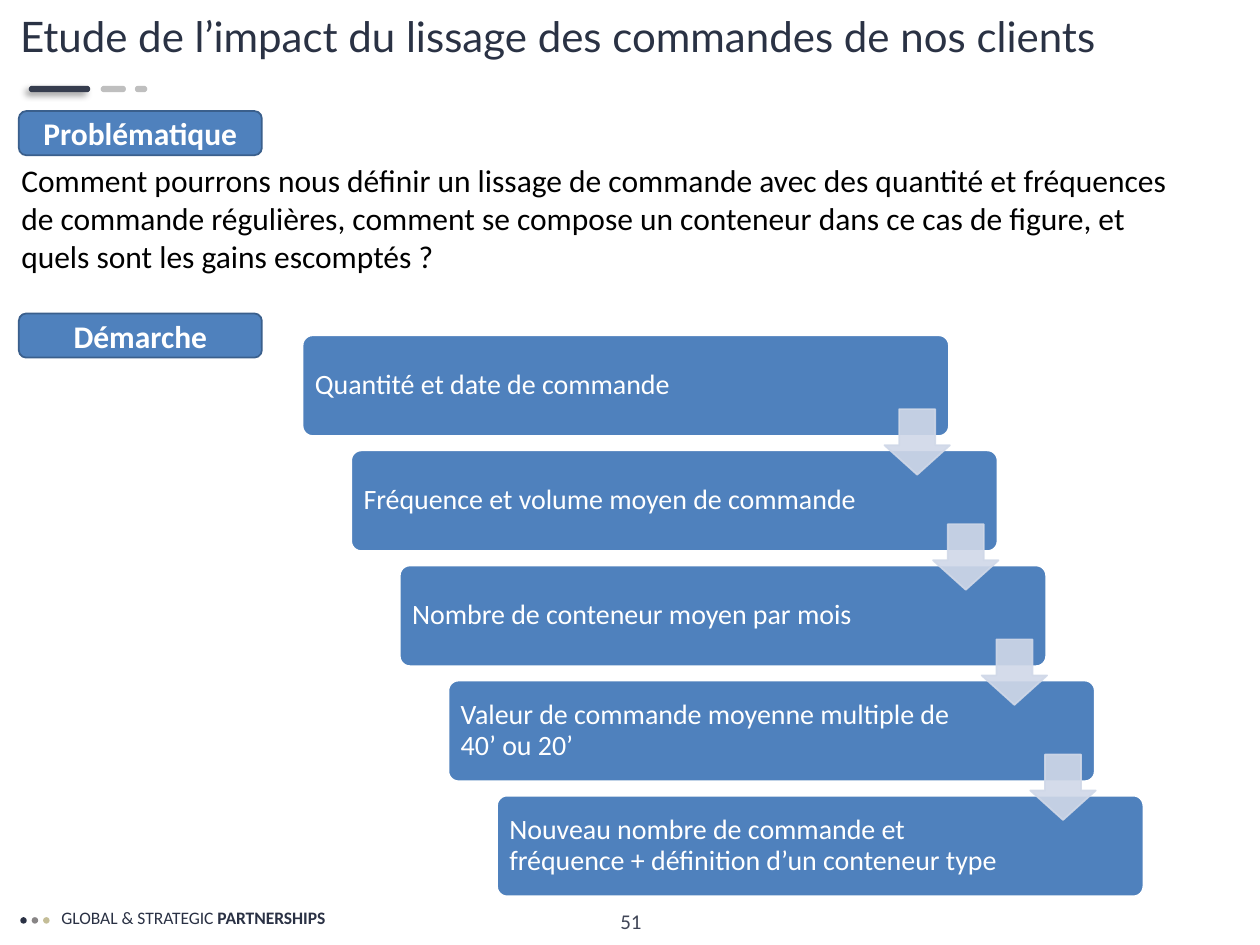
from lxml.etree import SubElement
from pptx import Presentation
from pptx.dml.color import RGBColor
from pptx.enum.shapes import MSO_SHAPE
from pptx.enum.text import MSO_ANCHOR, PP_ALIGN
from pptx.oxml.ns import qn
from pptx.util import Cm, Pt

TITLE = "Etude de l’impact du lissage des commandes de nos clients"
QUESTION = (
    "Comment pourrons nous définir un lissage de commande avec des quantité et "
    "fréquences de commande régulières, comment se compose un conteneur dans ce "
    "cas de figure, et quels sont les gains escomptés ?"
)
STEPS = [
    "Quantité et date de commande",
    "Fréquence et volume moyen de commande",
    "Nombre de conteneur moyen par mois",
    "Valeur de commande moyenne multiple de 40’ ou 20’",
    "Nouveau nombre de commande et fréquence + définition d’un conteneur type",
]
HEADINGS = [("Démarche", 6.32), ("Problématique", 2.24)]  # text, top
DASHES = [(0.58, 1.24, "363D4E"), (2.03, 0.51, "BFBFBF"), (2.72, 0.25, "BFBFBF")]
DOTS = ["2A3144", "888586", "C4BD97"]
FOOTER = [("GLOBAL & STRATEGIC ", False), ("PARTNERSHIPS", True)]
PAGE_NUMBER = "51"

BLUE, WHITE, ARROW = "4F81BD", "FFFFFF", "D0D8E8"
STEP_LEFT, STEP_TOP, STEP_WIDTH, STEP_HEIGHT = 6.1, 6.76, 13.03, 2.03
SHIFT_X, SHIFT_Y = 0.98, 2.32
ARROW_SIZE = 1.32


def rgb(value):
    return RGBColor.from_string(value)


def add_box(slide, kind, place, fill, line=None, adjustments=()):
    shape = slide.shapes.add_shape(kind, *map(Cm, place))
    shape.shadow.inherit = False
    shape.fill.solid()
    shape.fill.fore_color.rgb = rgb(fill)
    if line:
        shape.line.color.rgb = rgb(line)
        shape.line.width = Pt(1)
    else:
        shape.line.fill.background()
    for index, value in enumerate(adjustments):
        shape.adjustments[index] = value
    return shape


def write(shape, runs, size, color, font="Calibri", align=PP_ALIGN.LEFT,
          spacing=None, **frame_format):
    """Fill a shape with one paragraph made of (text, bold) runs."""
    frame = shape.text_frame
    for name, value in {"word_wrap": True, **frame_format}.items():
        setattr(frame, name, value)
    paragraph = frame.paragraphs[0]
    paragraph.alignment = align
    if spacing:
        paragraph.line_spacing = spacing
    for text, bold in runs:
        run = paragraph.add_run()
        run.text = text
        run.font.color.rgb = rgb(color)
        for name, value in {"name": font, "size": Pt(size), "bold": bold}.items():
            setattr(run.font, name, value)


def add_text(slide, place, runs, size, color, **formats):
    box = slide.shapes.add_textbox(*map(Cm, place))
    write(box, runs, size, color, **formats)


def set_opacity(parent, percent):
    for color in list(parent.iter(qn("a:srgbClr"))):
        SubElement(color, qn("a:alpha"), val=str(percent * 1000))


def add_shadow(shape):
    effects = shape._element.spPr.find(qn("a:effectLst"))
    shadow = SubElement(effects, qn("a:outerShdw"), blurRad=str(Pt(4)),
                        dist=str(Pt(3)), dir=str(135 * 60000), rotWithShape="0")
    SubElement(shadow, qn("a:srgbClr"), val="000000")
    set_opacity(shadow, 40)


def add_footer(slide):
    add_text(slide, (0.99, 18.16, 5.97, 0.69), FOOTER, 10, "2A3144")
    for i, color in enumerate(DOTS):
        add_box(slide, MSO_SHAPE.OVAL, (0.41 + 0.23 * i, 18.49, 0.13, 0.13), color)
    add_text(slide, (9.86, 18.06, 5.72, 1.02), [(PAGE_NUMBER, False)], 12, "404657",
             align=PP_ALIGN.CENTER, vertical_anchor=MSO_ANCHOR.MIDDLE)


def add_title(slide):
    for i, (left, width, color) in enumerate(DASHES):
        dash = add_box(slide, MSO_SHAPE.ROUNDED_RECTANGLE, (left, 1.73, width, 0.13),
                       color, adjustments=[0.5])
        if i == 0:
            add_shadow(dash)
    title = slide.shapes.title
    place = dict(left=0.15, top=0.2, width=26.82, height=1.52)
    for name, value in place.items():
        setattr(title, name, Cm(value))
    write(title, [(TITLE, False)], 24, "2A3244", font="Lato", spacing=0.9,
          vertical_anchor=MSO_ANCHOR.TOP)


def add_steps(slide):
    for i, step in enumerate(STEPS):
        place = (STEP_LEFT + SHIFT_X * i, STEP_TOP + SHIFT_Y * i,
                 STEP_WIDTH, STEP_HEIGHT)
        box = add_box(slide, MSO_SHAPE.ROUNDED_RECTANGLE, place, BLUE, WHITE, [0.1])
        write(box, [(step, False)], 16, WHITE, spacing=0.9,
              vertical_anchor=MSO_ANCHOR.MIDDLE,
              margin_left=Cm(0.19), margin_right=Cm(2.46))
    for i in range(len(STEPS) - 1):
        place = (STEP_LEFT + STEP_WIDTH - ARROW_SIZE + 0.02 + SHIFT_X * i,
                 STEP_TOP + 1.49 + SHIFT_Y * i, ARROW_SIZE, ARROW_SIZE)
        arrow = add_box(slide, MSO_SHAPE.DOWN_ARROW, place, ARROW, ARROW, [0.55, 0.45])
        set_opacity(arrow._element.spPr, 90)


def add_headings(slide):
    for heading, top in HEADINGS:
        box = add_box(slide, MSO_SHAPE.ROUNDED_RECTANGLE, (0.38, top, 4.9, 0.89),
                      BLUE, "3A5F8C")
        write(box, [(heading, True)], 18, WHITE, align=PP_ALIGN.CENTER,
              vertical_anchor=MSO_ANCHOR.MIDDLE)


def main():
    prs = Presentation()
    prs.slide_width, prs.slide_height = Cm(25.4), Cm(19.05)
    slide = prs.slides.add_slide(prs.slide_layouts.get_by_name("Title Only"))
    add_footer(slide)
    add_title(slide)
    add_text(slide, (0.18, 3.12, 24.03, 2.57), [(QUESTION, False)], 18, "000000")
    add_steps(slide)
    add_headings(slide)
    prs.save("out.pptx")


if __name__ == "__main__":
    main()
